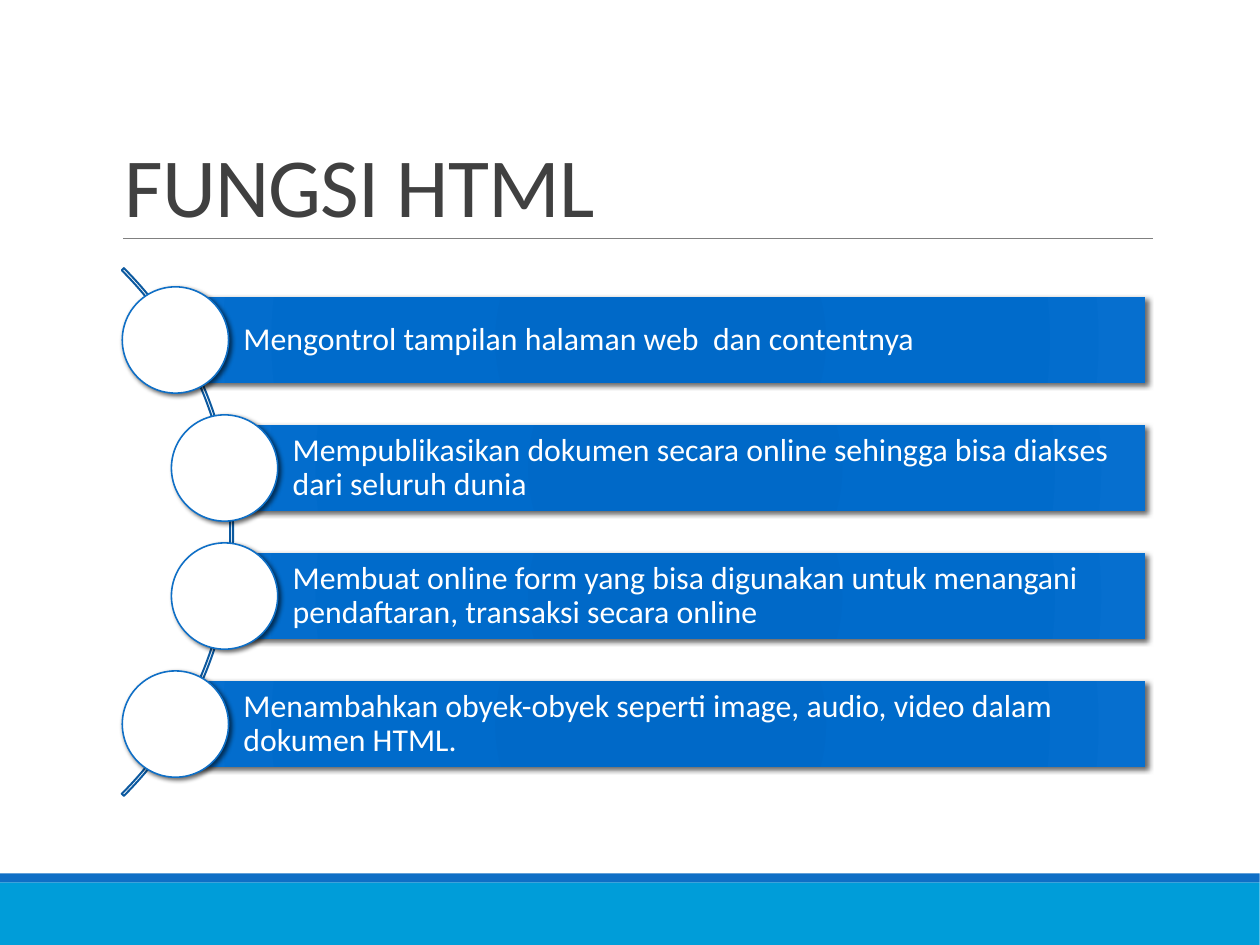
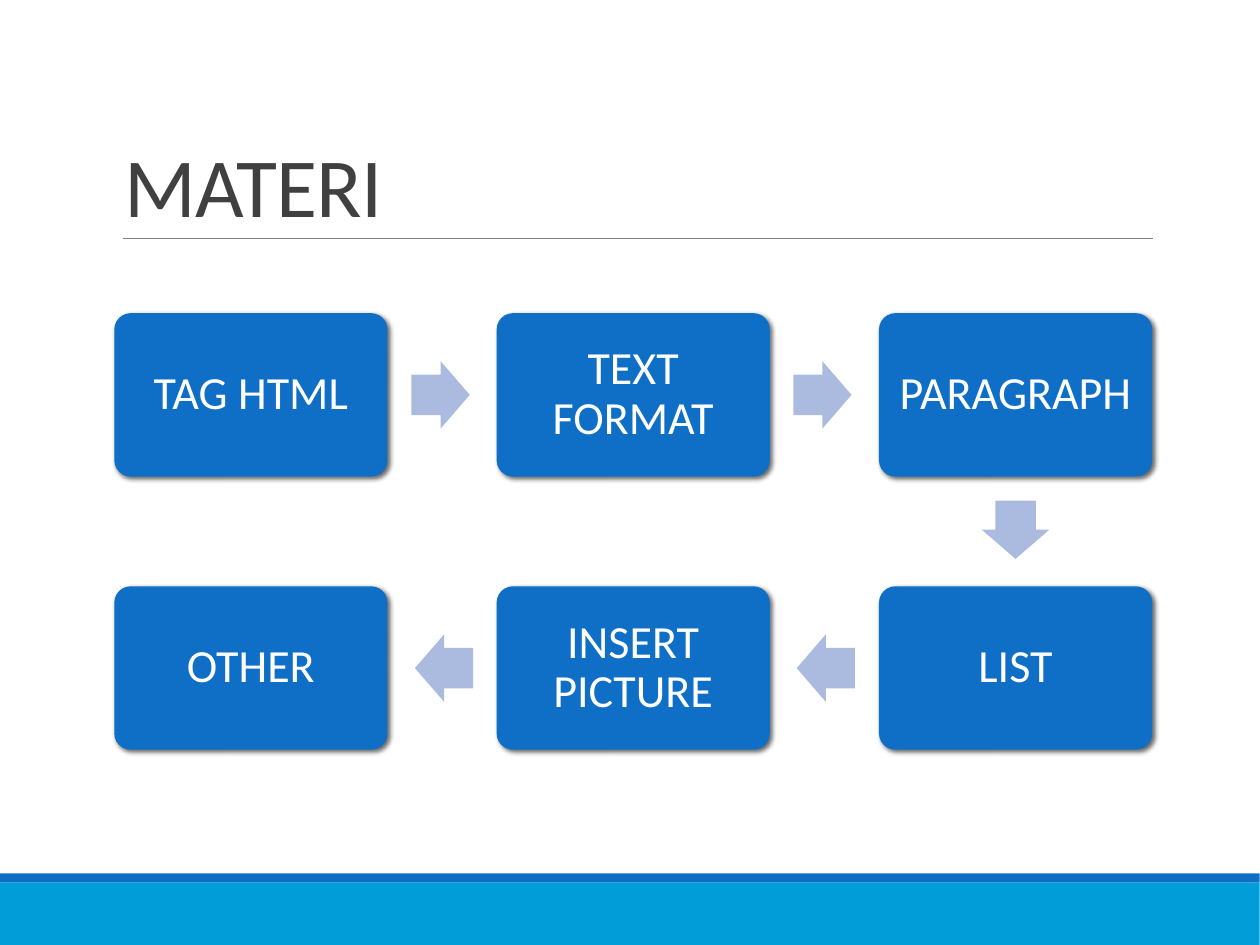
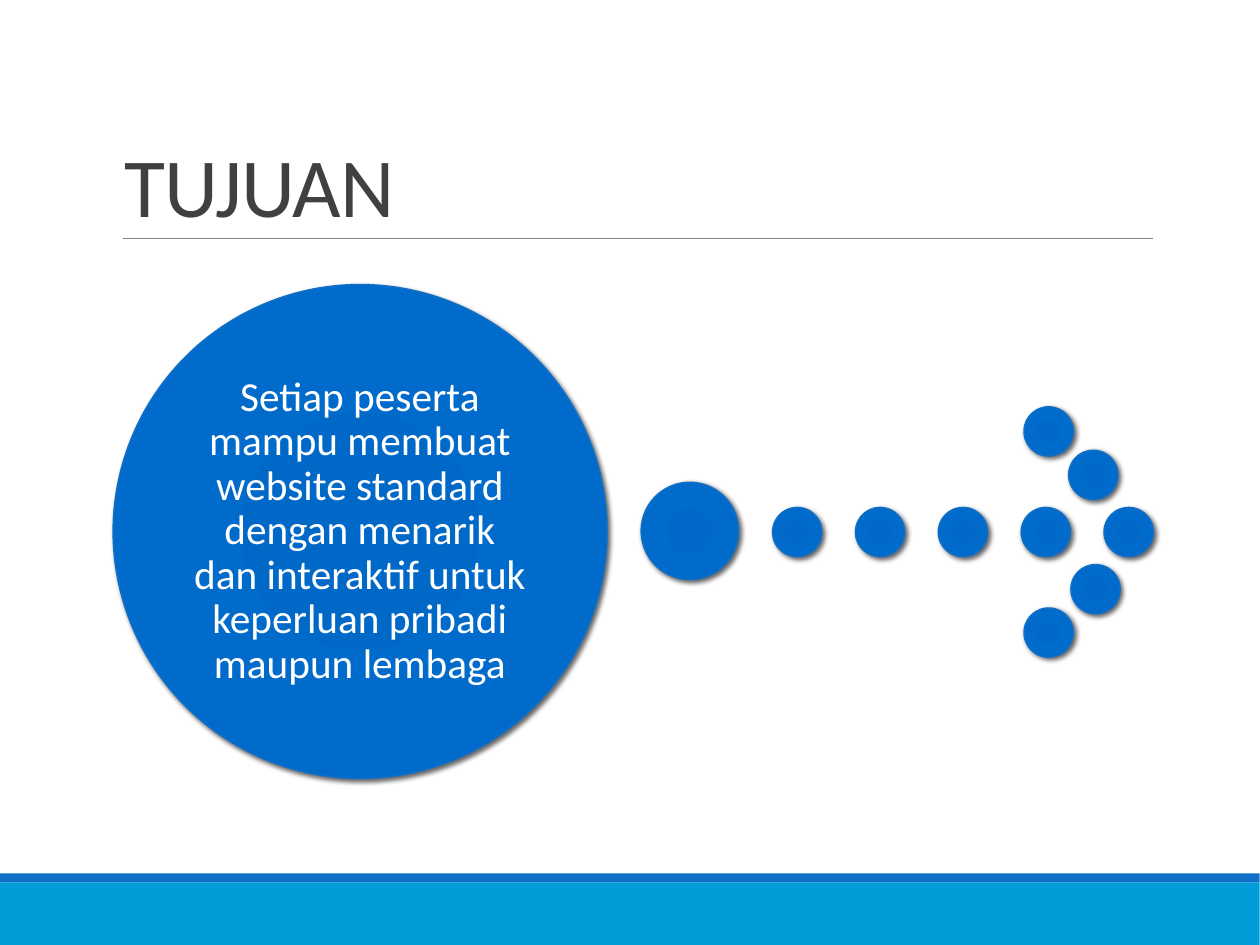
"""Build three slides on HTML: its functions, the topics and the goal."""
from lxml import etree
from pptx import Presentation
from pptx.dml.color import RGBColor
from pptx.enum import shapes, text
from pptx.oxml import ns, parse_xml
from pptx.util import Cm, Inches, Pt

COLORS = {
    "band": "009DD9", "accent": "0F6FC6", "rule": "808080", "title": "404040",
    "white": "FFFFFF", "arc": "0C599F", "arrow": "ABBBDF", "shadow": "000000",
}
GRADIENT = {0: "0068C6", 34: "0069C8", 70: "006BCB", 100: "066FCF"}
STOPS = "".join(f'<a:gs pos="{position * 1000}"><a:srgbClr val="{color}"/></a:gs>'
                for position, color in GRADIENT.items())
GRADIENT_XML = (f'<a:gradFill {ns.nsdecls("a")} rotWithShape="1"><a:gsLst>{STOPS}</a:gsLst>'
                '<a:path path="circle"><a:fillToRect l="100000" t="100000" r="100000" b="100000"/>'
                '</a:path></a:gradFill>')
SHAPE = shapes.MSO_SHAPE
MIDDLE, BOTTOM = text.MSO_ANCHOR.MIDDLE, text.MSO_ANCHOR.BOTTOM
LEFT, CENTER = text.PP_ALIGN.LEFT, text.PP_ALIGN.CENTER


def add_figure(page, kind, at, fill=None, line=None, width=1, blur=0):
    """Add a preset shape with a plain, gradient or empty fill and an optional shadow."""
    figure = page.shapes.add_shape(kind, *map(Inches, at))
    figure.shadow.inherit = False
    properties = figure.element.spPr
    if fill in COLORS:
        figure.fill.solid()
        figure.fill.fore_color.rgb = RGBColor.from_string(COLORS[fill])
    else:
        figure.fill.background()
        if fill == "gradient":
            properties.replace(properties.find(ns.qn("a:noFill")), parse_xml(GRADIENT_XML))
    if line:
        figure.line.color.rgb = RGBColor.from_string(COLORS[line])
        figure.line.width = Pt(width)
    else:
        figure.line.fill.background()
    if blur:
        properties.find(ns.qn("a:effectLst")).append(parse_xml(
            f'<a:outerShdw {ns.nsdecls("a")} blurRad="{Pt(blur)}" dist="{Pt(2)}" dir="2700000" '
            f'algn="tl" rotWithShape="0"><a:srgbClr val="{COLORS["shadow"]}">'
            '<a:alpha val="60000"/></a:srgbClr></a:outerShdw>'))
    return figure


def write(box, words, size, color="white", align=CENTER, anchor=MIDDLE, spacing=0.9,
          insets=(0.1, 0.05, 0.1, 0.05)):
    """Put one formatted paragraph into a box."""
    frame = box.text_frame
    margins = dict(zip(("margin_left", "margin_top", "margin_right", "margin_bottom"),
                       map(Inches, insets)))
    para = frame.paragraphs[0]
    span = para.add_run()
    span.text = words
    formats = [
        (frame, {"word_wrap": True, "vertical_anchor": anchor, **margins}),
        (para, {"alignment": align, "line_spacing": spacing}),
        (span.font, {"name": "Calibri", "size": Pt(size)}),
        (span.font.color, {"rgb": RGBColor.from_string(COLORS[color])}),
    ]
    for target, values in formats:
        for name, value in values.items():
            setattr(target, name, value)


deck = Presentation()
deck.slide_width, deck.slide_height = Cm(28), Cm(21)

pages = []
for title in ("FUNGSI HTML", "MATERI", "TUJUAN"):
    page = deck.slides.add_slide(deck.slide_layouts[6])
    add_figure(page, SHAPE.RECTANGLE, (0, 7.72, 11.02, 0.55), "band")
    add_figure(page, SHAPE.RECTANGLE, (0, 7.64, 11.02, 0.08), "accent")
    rule = page.shapes.add_connector(shapes.MSO_CONNECTOR.STRAIGHT,
                                     *map(Inches, (1.08, 2.09, 10.09, 2.09)))
    rule.line.color.rgb = RGBColor.from_string(COLORS["rule"])
    rule.line.width = Pt(0.5)
    etree.SubElement(rule.element.spPr, ns.qn("a:effectLst"))
    title_box = page.shapes.add_textbox(*map(Inches, (0.99, 0.35, 9.1, 1.75)))
    write(title_box, title, 52.9, "title", LEFT, BOTTOM, 0.85)
    for run_format in title_box.element.iter(ns.qn("a:rPr")):
        run_format.set("spc", "-55")
    pages.append(page)
functions_page, topics_page, goal_page = pages

arc = add_figure(functions_page, SHAPE.BLOCK_ARC, (-4.49, 1.39, 6.53, 6.53), line="arc", width=1.25)
for index, angle in enumerate((189, 27, 0.004)):
    arc.adjustments[index] = angle
functions = [
    (1.54, "Mengontrol tampilan halaman web  dan contentnya"),
    (1.97, "Mempublikasikan dokumen secara online sehingga bisa diakses dari seluruh dunia"),
    (1.97, "Membuat online form yang bisa digunakan untuk menangani pendaftaran, transaksi secara online"),
    (1.54, "Menambahkan obyek-obyek seperti image, audio, video dalam dokumen HTML."),
]
for index, (left, words) in enumerate(functions):
    top = 2.6 + index * 1.12
    bar = add_figure(functions_page, SHAPE.RECTANGLE, (left, top, 10.02 - left, 0.75),
                     "gradient", blur=3.5)
    write(bar, words, 20, align=LEFT, insets=(0.59, 0.06, 0.06, 0.06))
    add_figure(functions_page, SHAPE.OVAL, (left - 0.47, top - 0.09, 0.93, 0.93),
               "white", "accent", blur=3)

topics = [
    (0, 0, "TAG HTML"), (1, 0, "TEXT FORMAT"), (2, 0, "PARAGRAPH"),
    (2, 1, "LIST"), (1, 1, "INSERT PICTURE"), (0, 1, "OTHER"),
]
for column, row, words in topics:
    card = add_figure(topics_page, SHAPE.ROUNDED_RECTANGLE,
                      (1 + column * 6.69 / 2, 2.74 + row * 2.39, 2.39, 1.43), "accent", blur=3)
    card.adjustments[0] = 0.1
    write(card, words, 29, insets=(0.12,) * 4)
for left, top, turn in [(3.6, 3.16, 0), (6.94, 3.16, 0), (8.63, 4.34, 90),
                        (6.97, 5.55, 180), (3.63, 5.55, 180)]:
    arrow = add_figure(topics_page, SHAPE.RIGHT_ARROW, (left, top, 0.51, 0.59), "arrow")
    arrow.adjustments[0], arrow.adjustments[1] = 0.6, 0.5
    arrow.rotation = turn

shaft = [(6.76 + step * 2.9 / 4, 4.44, 0.43) for step in range(5)]
head = [(8.96, 3.56, 0.43), (8.96, 5.32, 0.43), (9.35, 3.94, 0.43), (9.37, 4.94, 0.43)]
for left, top, size in [*shaft, (5.61, 4.22, 0.85), *head, (0.99, 2.49, 4.32)]:
    disc = add_figure(goal_page, SHAPE.OVAL, (left, top, size, size), "gradient", "accent", blur=3)
write(disc, "Setiap peserta mampu membuat website standard dengan menarik dan interaktif "
      "untuk keperluan pribadi maupun lembaga", 26, insets=(0.04,) * 4)

deck.save("out.pptx")
